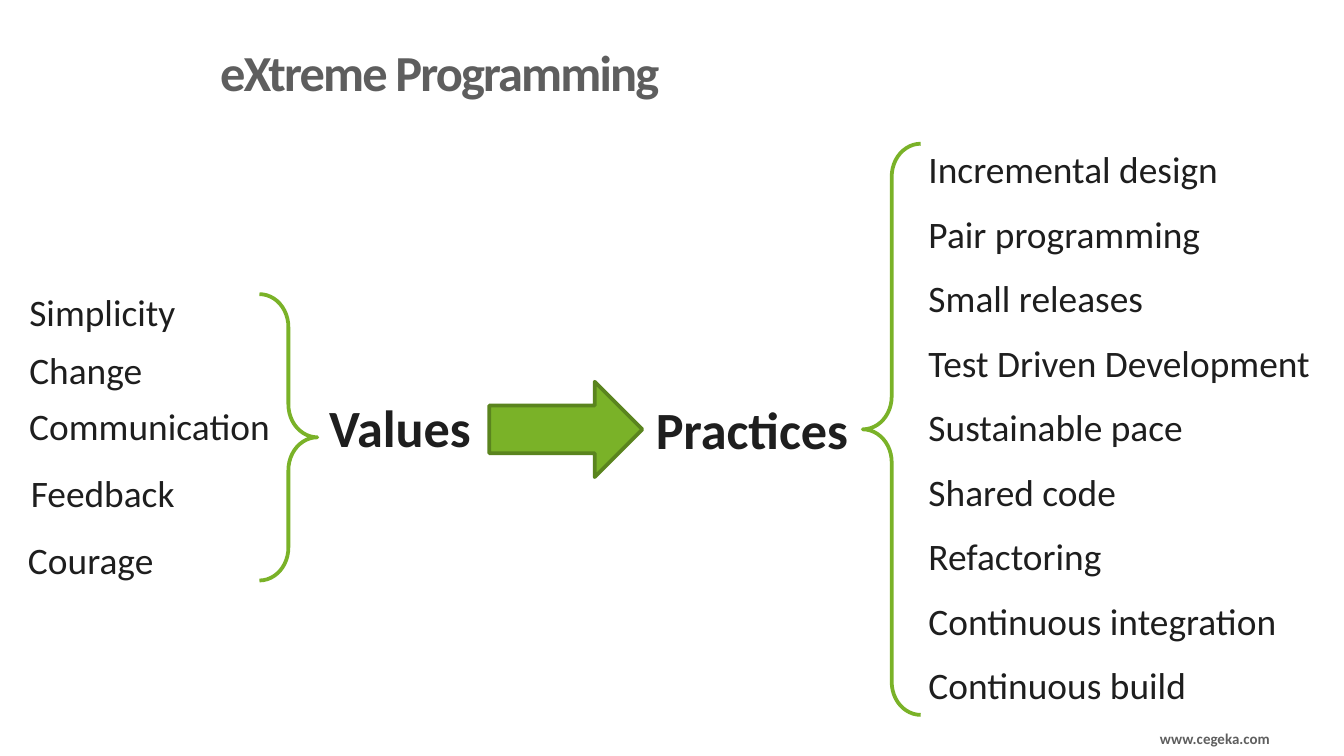
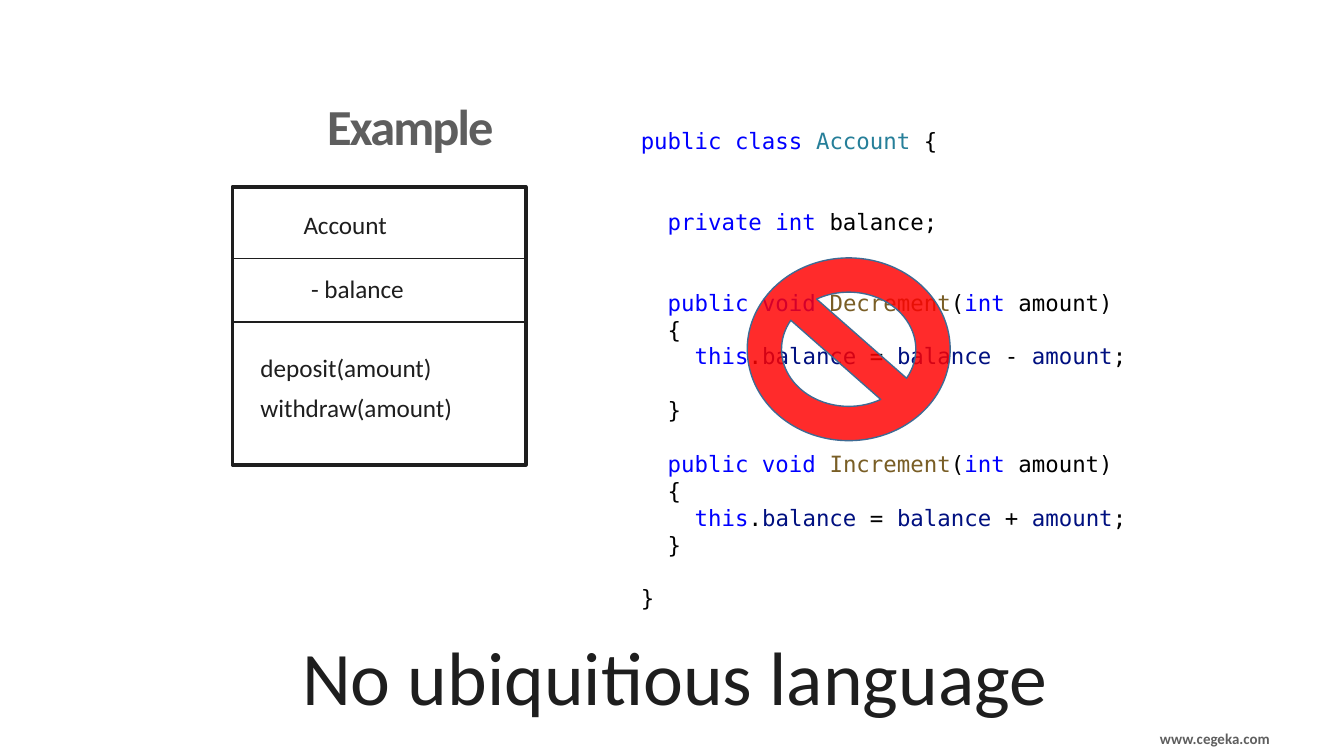
from dataclasses import dataclass
from typing import NamedTuple

import pptx
import pptx.dml.color
import pptx.enum.shapes
import pptx.enum.text
import pptx.oxml
import pptx.oxml.ns
import pptx.util

Pt = pptx.util.Pt
RGB = pptx.dml.color.RGBColor.from_string
SHAPE = pptx.enum.shapes.MSO_SHAPE
ALIGN = pptx.enum.text.PP_ALIGN


@dataclass(frozen=True)
class Theme:
    font: str = "Calibri"
    code_font: str = "DejaVu Sans Mono"
    ink: str = "1E1E1E"
    grey: str = "5E5E5E"
    green: str = "7AB228"
    dark_green: str = "5A841E"
    white: str = "FFFFFF"
    red: str = "FF0000"
    sign_edge: str = "3E6B94"
    plain: str = "000000"
    keyword: str = "0000FF"
    type_name: str = "267F99"
    method: str = "795E26"
    variable: str = "001080"
    footer_size: float = 8
    code_size: float = 12
    code_pitch: float = 14.4
    uml_size: float = 13.5
    list_size: float = 20
    title_size: float = 27
    heading_size: float = 28
    banner_size: float = 40.5


T = Theme()


class Box(NamedTuple):
    x: float
    y: float
    w: float
    h: float

    def lengths(self) -> list:
        return [Pt(v) for v in self]


class Label(NamedTuple):
    text: str
    box: Box


class CodeLine(NamedTuple):
    blank_before: int
    spans: list


# Drawing functions

def style(p, size: float, color: str = T.ink, bold: bool = False) -> None:
    p.font.name = T.font
    p.font.size = Pt(size)
    p.font.bold = bold
    p.font.color.rgb = RGB(color)


def set_insets(tf, x: float, y: float) -> None:
    tf.margin_left = tf.margin_right = Pt(x)
    tf.margin_top = tf.margin_bottom = Pt(y)


def add_text(shapes, label: Label, size: float, color: str = T.ink,
             bold: bool = False, align=ALIGN.LEFT):
    tf = shapes.add_textbox(*label.box.lengths()).text_frame
    tf.word_wrap = True
    p = tf.paragraphs[0]
    p.text = label.text
    p.alignment = align
    style(p, size, color, bold)
    return tf


def add_shape(shapes, kind, box: Box, line: str, width: float, fill: str = ""):
    sp = shapes.add_shape(kind, *box.lengths())
    sp.shadow.inherit = False
    if fill:
        sp.fill.solid()
        sp.fill.fore_color.rgb = RGB(fill)
    else:
        sp.fill.background()
    sp.line.color.rgb = RGB(line)
    sp.line.width = Pt(width)
    return sp


def add_brace(shapes, box: Box, rotation: float = 0) -> None:
    sp = add_shape(shapes, SHAPE.RIGHT_BRACE, box, T.green, 2)
    sp.adjustments[0] = 0.57
    sp.adjustments[1] = 0.5
    sp.rotation = rotation


def add_rule(shapes, x1: float, x2: float, y: float) -> None:
    line = shapes.add_connector(pptx.enum.shapes.MSO_CONNECTOR.STRAIGHT,
                                Pt(x1), Pt(y), Pt(x2), Pt(y))
    line.line.color.rgb = RGB(T.ink)
    line.line.width = Pt(0.75)
    line._element.spPr.append(pptx.oxml.parse_xml(
        f'<a:effectLst {pptx.oxml.ns.nsdecls("a")}/>'))


def set_alpha(sp, percent: int) -> None:
    color = sp._element.spPr.find(".//" + pptx.oxml.ns.qn("a:srgbClr"))
    color.append(pptx.oxml.parse_xml(
        f'<a:alpha {pptx.oxml.ns.nsdecls("a")} val="{percent * 1000}"/>'))


def add_code(shapes, box: Box, lines: list) -> None:
    tf = shapes.add_textbox(*box.lengths()).text_frame
    tf.word_wrap = True
    for i, line in enumerate(lines):
        p = tf.add_paragraph() if i else tf.paragraphs[0]
        p.line_spacing = Pt(T.code_pitch)
        p.space_before = Pt(line.blank_before * T.code_pitch)
        p.font.name = T.code_font
        p.font.size = Pt(T.code_size)
        for text, color in line.spans:
            r = p.add_run()
            r.text = text
            r.font.color.rgb = RGB(color)


def add_slide(prs, title: Label, inset_x: float, inset_y: float):
    """Add a slide with its title and the shared footer."""
    s = prs.slides.add_slide(prs.slide_layouts[5])
    sp = s.shapes.title
    sp.left, sp.top, sp.width, sp.height = title.box.lengths()
    tf = sp.text_frame
    tf.auto_size = pptx.enum.text.MSO_AUTO_SIZE.NONE
    tf.vertical_anchor = pptx.enum.text.MSO_ANCHOR.BOTTOM
    set_insets(tf, inset_x, inset_y)
    p = tf.paragraphs[0]
    p.text = title.text
    p.alignment = ALIGN.LEFT
    p.line_spacing = 0.9
    style(p, T.title_size, T.grey, True)
    p.runs[0]._r.get_or_add_rPr().set("spc", "-100")

    footer = Label("www.cegeka.com", Box(490.3, 391, 190.1, 9.4))
    set_insets(add_text(s.shapes, footer, T.footer_size, T.grey, True, ALIGN.RIGHT), 0, 0)
    return s


# Slide 1: values lead to practices

VALUES = [
    Label("Simplicity", Box(8.6, 151.2, 181, 29.5)),
    Label("Change", Box(8.6, 182.2, 181, 29)),
    Label("Communication", Box(8.6, 212.4, 147, 34.5)),
    Label("Feedback", Box(9.4, 248.4, 181, 34.5)),
    Label("Courage", Box(7.9, 284.4, 181, 34.5)),
]
PRACTICES = ["Incremental design", "Pair programming", "Small releases",
             "Test Driven Development", "Sustainable pace", "Shared code",
             "Refactoring", "Continuous integration", "Continuous build"]
PRACTICE_TOP, PRACTICE_STEP = 74.9, 34.56


def build_programming(prs) -> None:
    title = Label("eXtreme Programming", Box(113, 0, 565.2, 57.6))
    shapes = add_slide(prs, title, 5, 2.9).shapes
    for label in VALUES:
        add_text(shapes, label, T.list_size)
    for i, practice in enumerate(PRACTICES):
        box = Box(490.3, PRACTICE_TOP + i * PRACTICE_STEP, 222.5, 28)
        add_text(shapes, Label(practice, box), T.list_size)

    # Braces, headings and the arrow between them
    add_brace(shapes, Box(139, 157.6, 31, 153.4))
    add_brace(shapes, Box(462.2, 77, 31, 306), 180)
    for heading in (Label("Values", Box(169.2, 208.1, 95, 38.9)),
                    Label("Practices", Box(344.2, 209.5, 118, 38.9))):
        add_text(shapes, heading, T.heading_size, bold=True)
    add_shape(shapes, SHAPE.RIGHT_ARROW, Box(262.1, 204.5, 82.1, 51.1),
              T.dark_green, 2, T.green)


# Slide 2: class diagram against its code

def method_lines(name: str, operator: str, blank_before: int, blank_end: int) -> list:
    return [
        CodeLine(blank_before, [("  public void ", T.keyword), (name, T.method),
                                ("(", T.plain), ("int", T.keyword), (" amount)", T.plain)]),
        CodeLine(0, [("  {", T.plain)]),
        CodeLine(0, [("    this", T.keyword), (".", T.plain), ("balance", T.variable),
                     (" = ", T.plain), ("balance", T.variable), (f" {operator} ", T.plain),
                     ("amount", T.variable), (";", T.plain)]),
        CodeLine(blank_end, [("  }", T.plain)]),
    ]


CODE = [
    CodeLine(0, [("public class ", T.keyword), ("Account", T.type_name), (" {", T.plain)]),
    CodeLine(2, [("  private int", T.keyword), (" balance;", T.plain)]),
    *method_lines("Decrement", "-", 2, 1),
    *method_lines("Increment", "+", 1, 0),
    CodeLine(1, [("}", T.plain)]),
]
CLASS_BOX = Box(124.6, 100.1, 157, 149)
CLASS_RULES = [138.4, 172.6]
CLASS_LABELS = [
    Label("Account", Box(155.5, 108.7, 110, 23.8)),
    Label("- balance", Box(159.6, 142.9, 80, 23.8)),
    Label("deposit(amount)", Box(132.5, 185, 129.6, 23.8)),
    Label("withdraw(amount)", Box(132.5, 206.6, 141, 23.8)),
]


def build_example(prs) -> None:
    title = Label("Example", Box(175.2, 31, 425.5, 52.6))
    shapes = add_slide(prs, title, 0, 0).shapes
    add_code(shapes, Box(336.2, 64.8, 347, 269.3), CODE)

    # Prohibition sign over the code
    sign = add_shape(shapes, SHAPE.NO_SYMBOL, Box(400.3, 138.2, 108.7, 97.9),
                     T.sign_edge, 0, T.red)
    set_alpha(sign, 83)
    add_text(shapes, Label("No ubiquitious language", Box(116.6, 334.1, 490.3, 67.7)),
             T.banner_size, align=ALIGN.CENTER)

    # Class diagram
    diagram = shapes.add_group_shape().shapes
    add_shape(diagram, SHAPE.RECTANGLE, CLASS_BOX, T.ink, 2, T.white)
    for y in CLASS_RULES:
        add_rule(diagram, CLASS_BOX.x, CLASS_BOX.x + CLASS_BOX.w, y)
    for label in CLASS_LABELS:
        add_text(diagram, label, T.uml_size)


def main() -> None:
    prs = pptx.Presentation()
    prs.slide_width, prs.slide_height = Pt(720), Pt(405)
    build_programming(prs)
    build_example(prs)
    prs.save("out.pptx")


if __name__ == "__main__":
    main()
